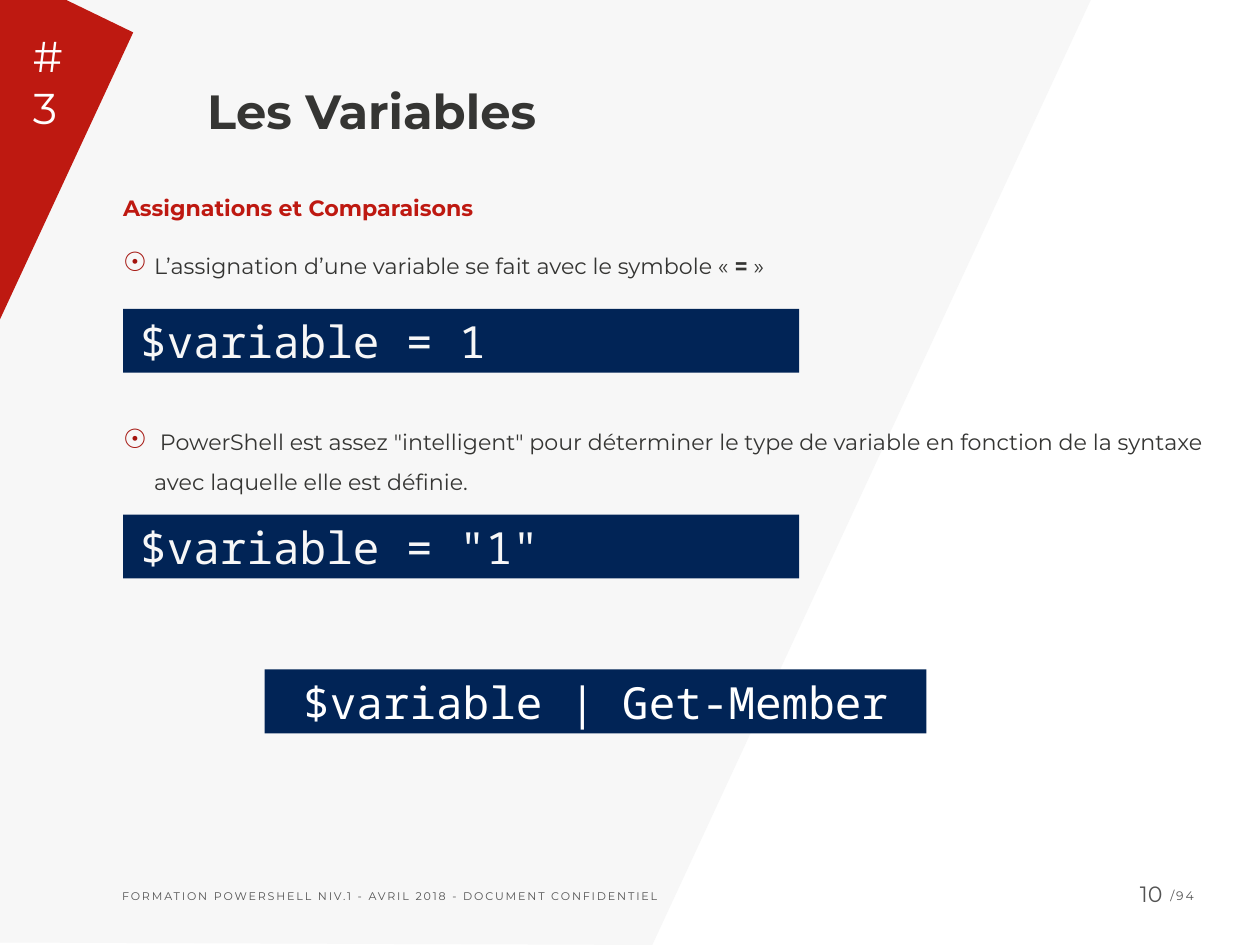
from dataclasses import dataclass

from lxml.etree import SubElement
from pptx import Presentation
from pptx.dml.color import RGBColor as RGB
from pptx.enum.shapes import MSO_SHAPE as SHAPE
from pptx.enum.text import MSO_ANCHOR as ANCHOR, MSO_AUTO_SIZE as AUTO, PP_ALIGN as ALIGN
from pptx.oxml.ns import qn
from pptx.util import Cm, Pt


@dataclass(frozen=True)
class Theme:
    panel: RGB = RGB(0xF7, 0xF7, 0xF7)
    red: RGB = RGB(0xBE, 0x19, 0x11)
    bullet: str = "A4140E"
    ink: RGB = RGB(0x35, 0x35, 0x33)
    muted: RGB = RGB(0x53, 0x53, 0x53)
    navy: RGB = RGB(0x01, 0x24, 0x56)
    white: RGB = RGB(0xFF, 0xFF, 0xFF)
    sans: str = "Montserrat"
    mono: str = "Noto Sans Mono"
    title: int = 39
    code: int = 36
    chapter: int = 35
    body: int = 18
    total: int = 10
    footer: int = 9


T = Theme()
INSET = 0.15
LEFT = 3.53


def apply(target, values):
    for name, value in values.items():
        setattr(target, name, value)


def set_frame(tf, inset=INSET, **values):
    margins = dict.fromkeys(("margin_left", "margin_top", "margin_right", "margin_bottom"), Cm(inset))
    apply(tf, {"word_wrap": True, "auto_size": AUTO.NONE, **margins, **values})


def add_run(p, text, size, color, font=T.sans, bold=False, spacing=0):
    r = p.add_run()
    r.text = text
    apply(r.font, {"name": font, "size": Pt(size), "bold": bold})
    r.font.color.rgb = color
    if spacing:
        r._r.get_or_add_rPr().set("spc", str(int(spacing * 100)))


def add_label(s, box, text, size, color, align=ALIGN.LEFT, wrap=True, spacing=0):
    tf = s.shapes.add_textbox(*map(Cm, box)).text_frame
    set_frame(tf, word_wrap=wrap)
    p = tf.paragraphs[0]
    p.alignment = align
    add_run(p, text, size, color, spacing=spacing)


def paint(sp, color):
    sp.shadow.inherit = False
    sp.fill.solid()
    sp.fill.fore_color.rgb = color
    sp.line.fill.background()


def add_backdrop(s, points, color):
    start, *rest = [(Cm(x), Cm(y)) for x, y in points]
    builder = s.shapes.build_freeform(*start)
    builder.add_line_segments(rest)
    sp = builder.convert_to_shape()
    paint(sp, color)
    s.shapes.title.element.addprevious(sp.element)


def set_title(s, text):
    sp = s.shapes.title
    apply(sp, {"left": Cm(5.79), "top": Cm(0), "width": Cm(30.33), "height": Cm(4.14)})
    set_frame(sp.text_frame, vertical_anchor=ANCHOR.BOTTOM)
    p = sp.text_frame.paragraphs[0]
    p.alignment = ALIGN.LEFT
    add_run(p, text, T.title, T.ink, bold=True)


def add_bullet(p):
    pPr = p._p.get_or_add_pPr()
    apply_indent = {"marL": Cm(0.89), "indent": -Cm(0.89)}
    for name, value in apply_indent.items():
        pPr.set(name, str(value))
    SubElement(SubElement(pPr, qn("a:buClr")), qn("a:srgbClr"), val=T.bullet)
    SubElement(pPr, qn("a:buSzPct"), val="120000")
    SubElement(pPr, qn("a:buChar"), char="☉")


def add_body(s, heading, bullets):
    tf = s.shapes.add_textbox(Cm(LEFT), Cm(5.18), Cm(31.85), Cm(19.13)).text_frame
    set_frame(tf, inset=0)
    p = tf.paragraphs[0]
    p.line_spacing = 1.5
    add_run(p, heading, T.body, T.red, bold=True)
    for before, runs in bullets:
        p = tf.add_paragraph()
        add_bullet(p)
        apply(p, {"line_spacing": 1.5, "space_before": Pt(before)})
        for text, bold in runs:
            add_run(p, text, T.body, T.ink, bold=bold)


def add_code(s, x, y, width, code, color, align=ALIGN.LEFT, indent=INSET):
    sp = s.shapes.add_shape(SHAPE.RECTANGLE, Cm(x), Cm(y), Cm(width), Cm(1.83))
    paint(sp, T.navy)
    set_frame(sp.text_frame, vertical_anchor=ANCHOR.MIDDLE, margin_left=Cm(indent))
    p = sp.text_frame.paragraphs[0]
    p.alignment = align
    add_run(p, code, T.code, color, font=T.mono)


def main():
    prs = Presentation()
    apply(prs, {"slide_width": Cm(36.12), "slide_height": Cm(27.1)})
    s = prs.slides.add_slide(prs.slide_layouts[5])

    add_backdrop(s, [(0, 0), (31.27, 0), (18.7, 27.1), (0, 27.03)], T.panel)
    add_backdrop(s, [(0, 0), (1.9, 0), (3.82, 0.93), (0, 9.16)], T.red)
    set_title(s, "Les Variables")
    add_label(s, (0.79, 0.69, 1.52, 3.3), "#3", T.chapter, T.white)

    add_body(s, "Assignations et Comparaisons", [
        (15, [("L’assignation d’une variable se fait avec le symbole « ", False),
              ("=", True), (" »", False)]),
        (111, [(" PowerShell est assez \"intelligent\" pour déterminer le type de variable "
                "en fonction de la syntaxe avec laquelle elle est définie.", False)]),
    ])
    for y, code in ((8.86, "$variable = 1"), (14.76, "$variable = \"1\"")):
        add_code(s, LEFT, y, 19.38, code, T.panel, indent=0.49)
    add_code(s, 7.59, 19.2, 18.97, "$variable | Get-Member", T.white, ALIGN.CENTER)

    add_label(s, (3.35, 25.35, 26.52, 0.66),
              "FORMATION POWERSHELL NIV.1 - AVRIL 2018 - DOCUMENT CONFIDENTIEL",
              T.footer, T.muted, spacing=1.5)
    add_label(s, (32.79, 25.1, 0.69, 0.94), "10", T.body, T.muted, ALIGN.RIGHT, wrap=False)
    add_label(s, (33.4, 25.32, 2.01, 0.71), "/94", T.total, T.muted, spacing=1.5)
    prs.save("out.pptx")


if __name__ == "__main__":
    main()
